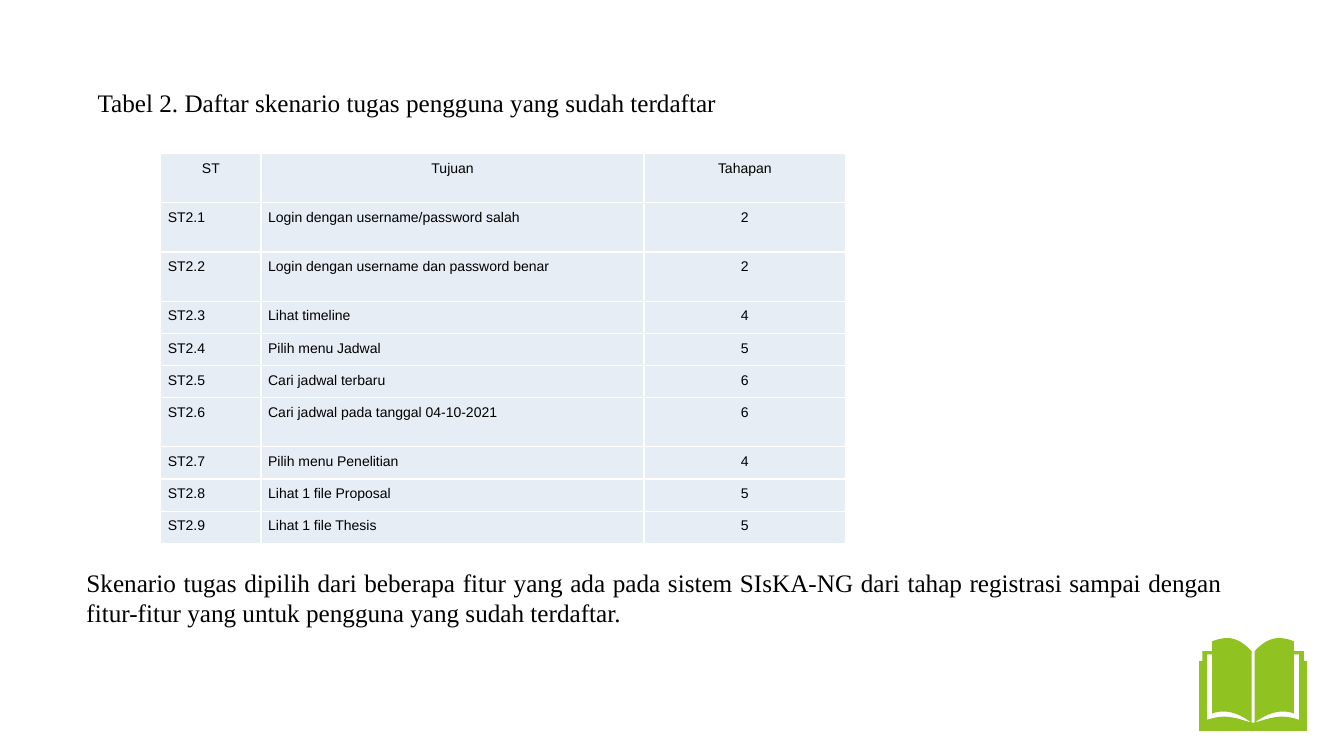
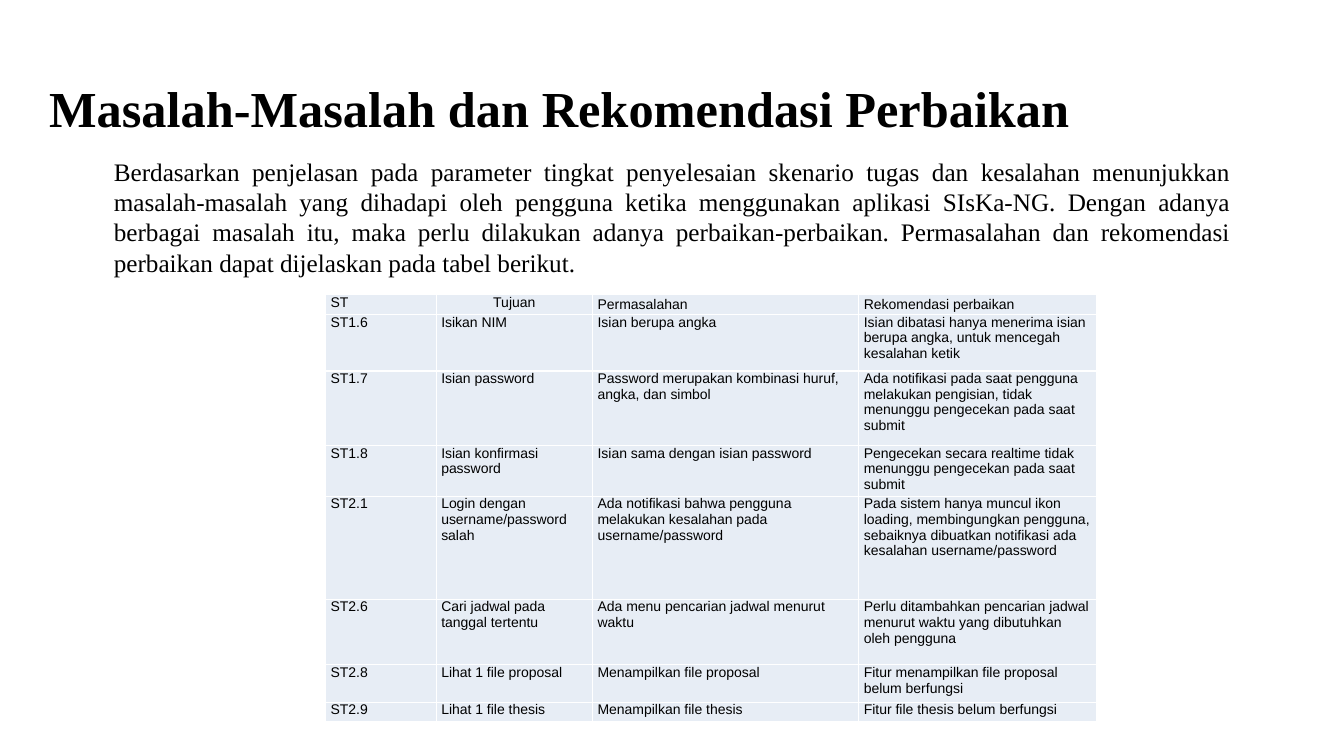
import lxml.etree
import pptx
import pptx.dml.color
import pptx.enum.text
import pptx.oxml.ns
import pptx.util

Cm = pptx.util.Cm
Pt = pptx.util.Pt
ALIGN = pptx.enum.text.PP_ALIGN
ANCHOR = pptx.enum.text.MSO_ANCHOR

COLORS = {"text": "000000", "cell": "E7EDF5", "border": "FFFFFF", "book": "90C221"}
SERIF = "Times New Roman"
SANS = "Arial"
ALIGNMENTS = {"l": ALIGN.LEFT, "c": ALIGN.CENTER, "j": ALIGN.JUSTIFY}

SCENARIOS = [
    ("ST", "Tujuan", "Tahapan"),
    ("ST2.1", "Login dengan username/password salah", "2"),
    ("ST2.2", "Login dengan username dan password benar", "2"),
    ("ST2.3", "Lihat timeline", "4"),
    ("ST2.4", "Pilih menu Jadwal", "5"),
    ("ST2.5", "Cari jadwal terbaru", "6"),
    ("ST2.6", "Cari jadwal pada tanggal 04-10-2021", "6"),
    ("ST2.7", "Pilih menu Penelitian", "4"),
    ("ST2.8", "Lihat 1 file Proposal", "5"),
    ("ST2.9", "Lihat 1 file Thesis", "5"),
]
PROBLEMS = [
    ("ST", "Tujuan", "Permasalahan", "Rekomendasi perbaikan"),
    ("ST1.6", "Isikan NIM", "Isian berupa angka",
     "Isian dibatasi hanya menerima isian berupa angka, untuk mencegah kesalahan ketik"),
    ("ST1.7", "Isian password", "Password merupakan kombinasi huruf, angka, dan simbol",
     "Ada notifikasi pada saat pengguna melakukan pengisian, tidak menunggu pengecekan "
     "pada saat submit"),
    ("ST1.8", "Isian konfirmasi password", "Isian sama dengan isian password",
     "Pengecekan secara realtime tidak menunggu pengecekan pada saat submit"),
    ("ST2.1", "Login dengan username/password salah",
     "Ada notifikasi bahwa pengguna melakukan kesalahan pada username/password",
     "Pada sistem hanya muncul ikon loading, membingungkan pengguna, sebaiknya dibuatkan "
     "notifikasi ada kesalahan username/password"),
    ("ST2.6", "Cari jadwal pada tanggal tertentu", "Ada menu pencarian jadwal menurut waktu",
     "Perlu ditambahkan pencarian jadwal menurut waktu yang dibutuhkan oleh pengguna"),
    ("ST2.8", "Lihat 1 file proposal", "Menampilkan file proposal",
     "Fitur menampilkan file proposal belum berfungsi"),
    ("ST2.9", "Lihat 1 file thesis", "Menampilkan file thesis",
     "Fitur file thesis belum berfungsi"),
]


def rgb(name):
    """Return the named colour."""
    return pptx.dml.color.RGBColor.from_string(COLORS[name])


def write_text(paragraph, text, size, font, alignment, bold=False):
    """Add one styled run to a paragraph."""
    paragraph.alignment = ALIGNMENTS[alignment]
    run = paragraph.add_run()
    run.text = text
    run.font.size = Pt(size)
    run.font.name = font
    run.font.bold = bold
    run.font.color.rgb = rgb("text")


def add_text(slide, box, text):
    """Place a justified body paragraph in a box."""
    frame = slide.shapes.add_textbox(*map(Cm, box)).text_frame
    frame.word_wrap = True
    write_text(frame.paragraphs[0], text, 18, SERIF, "j")


def add_title(slide, box, text):
    """Place the bold slide title in a box."""
    frame = slide.shapes.add_textbox(*map(Cm, box)).text_frame
    frame.word_wrap = True
    frame.vertical_anchor = ANCHOR.MIDDLE
    frame.paragraphs[0].line_spacing = 0.9
    write_text(frame.paragraphs[0], text, 36, SERIF, "l", bold=True)


def add_borders(cell):
    """Draw a thin line on each side of a table cell."""
    properties = cell._tc.get_or_add_tcPr()
    qn = pptx.oxml.ns.qn
    for side in ("a:lnL", "a:lnR", "a:lnT", "a:lnB"):
        line = lxml.etree.SubElement(properties, qn(side), w=str(Pt(1)))
        fill = lxml.etree.SubElement(line, qn("a:solidFill"))
        lxml.etree.SubElement(fill, qn("a:srgbClr"), val=COLORS["border"])


def add_table(slide, left, top, widths, heights, rows, margins, header, body, loose=()):
    """Place a table; header and body hold one alignment letter per column."""
    shape = slide.shapes.add_table(len(rows), len(widths), Cm(left), Cm(top),
                                   Cm(sum(widths)), Cm(sum(heights)))
    table = shape.table
    table.first_row = table.horz_banding = False
    for column, width in zip(table.columns, widths):
        column.width = Cm(width)
    for row, height in zip(table.rows, heights):
        row.height = Cm(height)
    for row_index, row in enumerate(rows):
        for column_index, text in enumerate(row):
            cell = table.cell(row_index, column_index)
            cell.margin_left = cell.margin_right = Cm(margins[0])
            cell.margin_top = cell.margin_bottom = Cm(margins[1])
            add_borders(cell)
            cell.fill.solid()
            cell.fill.fore_color.rgb = rgb("cell")
            paragraph = cell.text_frame.paragraphs[0]
            if row_index == 0 and column_index in loose:
                paragraph.line_spacing = 1.15
            alignments = body if row_index else header
            write_text(paragraph, text, 10, SANS, alignments[column_index])


def curve(start, first, second, end, steps=12):
    """Return points along a cubic curve, ends included."""
    points = []
    for step in range(steps + 1):
        t = step / steps
        weights = ((1 - t) ** 3, 3 * t * (1 - t) ** 2, 3 * t * t * (1 - t), t ** 3)
        points.append(tuple(sum(w * p[axis] for w, p in zip(weights, (start, first, second, end)))
                            for axis in (0, 1)))
    return points


def add_book(slide, left, top, width=2.72):
    """Draw an open book whose right half mirrors its left half."""
    def mirror(points):
        return [(width - x, y) for x, y in reversed(points)]

    page = (curve((1.32, 2.13), (0.99, 1.88), (0.64, 1.78), (0.33, 1.9))
            + curve((0.33, 0.08), (0.46, 0.03), (0.58, 0), (0.71, 0))
            + curve((0.71, 0), (0.94, 0), (1.14, 0.13), (1.32, 0.33)))
    cover = [(0, 2.34), (0, 0.58), (0.08, 0.58), (0.08, 0.33), (0.33, 0.33),
             (0.33, 0.41), (0.2, 0.41), (0.2, 2.06)]
    cover += curve((0.2, 2.06), (0.66, 1.9), (0.91, 2.01), (1.32, 2.13))
    builder = None
    for outline in (cover + mirror(cover), page, mirror(page)):
        points = [(Cm(left + x), Cm(top + y)) for x, y in outline]
        if builder is None:
            builder = slide.shapes.build_freeform(*points[0])
        else:
            builder.move_to(*points[0])
        builder.add_line_segments(points[1:], close=True)
    book = builder.convert_to_shape()
    book.shadow.inherit = False
    book.fill.solid()
    book.fill.fore_color.rgb = rgb("book")
    book.line.fill.background()


def build_scenarios(slide):
    """Fill the slide with the task scenarios."""
    add_text(slide, (2.21, 2.08, 16.94, 1.8),
             "Tabel 2. Daftar skenario tugas pengguna yang sudah terdaftar")
    tall, low = 1.24, 0.81
    add_table(slide, 4.05, 3.87, (2.53, 9.65, 5.08),
              [tall] * 3 + [low] * 3 + [tall] + [low] * 3,
              SCENARIOS, (0.18, 0.18), "ccc", "llc")
    add_text(slide, (1.93, 14.17, 29.13, 1.8),
             "Skenario tugas dipilih dari beberapa fitur yang ada pada sistem SIsKA-NG dari tahap "
             "registrasi sampai dengan fitur-fitur yang untuk pengguna yang sudah terdaftar.")
    add_book(slide, 30.22, 16.08)


def build_problems(slide):
    """Fill the slide with the problems and recommendations."""
    add_text(slide, (2.62, 3.81, 28.65, 3.33),
             "Berdasarkan penjelasan pada parameter tingkat penyelesaian skenario tugas dan "
             "kesalahan menunjukkan masalah-masalah yang dihadapi oleh pengguna ketika "
             "menggunakan aplikasi SIsKa-NG. Dengan adanya berbagai masalah itu, maka perlu "
             "dilakukan adanya perbaikan-perbaikan. Permasalahan dan rekomendasi perbaikan "
             "dapat dijelaskan pada tabel berikut.")
    add_title(slide, (0.99, 1.8, 27.1, 2.01), "Masalah-Masalah dan Rekomendasi Perbaikan")
    add_table(slide, 8.2, 7.42, (2.79, 3.94, 6.71, 5.99),
              (0.51, 1.42, 1.88, 1.17, 2.6, 1.65, 0.94, 0.48),
              PROBLEMS, (0.13, 0), "lcll", "llll", loose=(2, 3))


def main():
    """Build and save the presentation."""
    presentation = pptx.Presentation()
    presentation.slide_width = Cm(33.87)
    presentation.slide_height = Cm(19.05)
    for build in (build_scenarios, build_problems):
        build(presentation.slides.add_slide(presentation.slide_layouts[6]))
    presentation.save("out.pptx")


if __name__ == "__main__":
    main()
